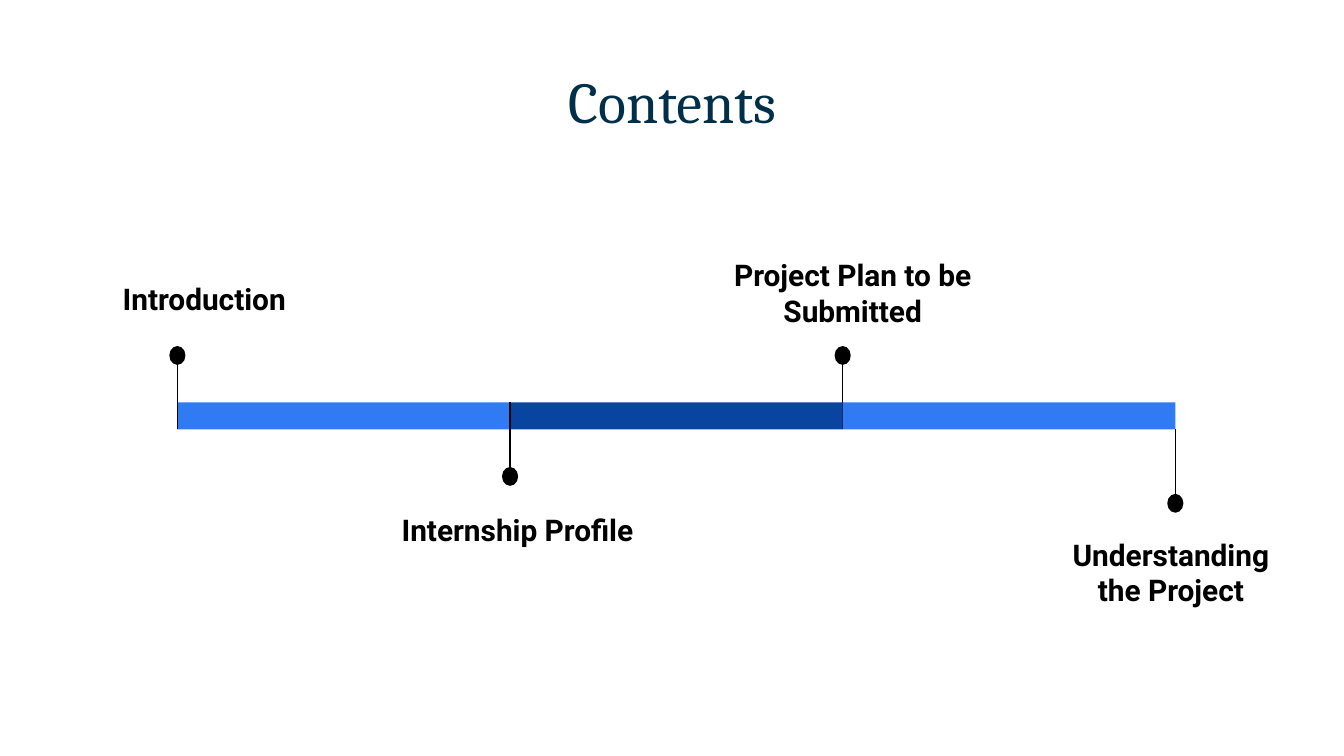
from dataclasses import dataclass
from typing import Optional

import pptx
import pptx.dml.color
import pptx.enum.shapes
import pptx.enum.text
import pptx.oxml
import pptx.util

EMU_PER_PX = 4572  # 200 px to the inch
BAR_LEFT, BAR_TOP, BAR_HEIGHT = 264, 599, 40
BAR_BOTTOM = BAR_TOP + BAR_HEIGHT
SEGMENT_WIDTH = 495
STEM_LENGTH = 110
DOT_WIDTH, DOT_HEIGHT = 24, 28
TEXT_MARGIN = 20
LEFT = pptx.enum.text.PP_ALIGN.LEFT
CENTER = pptx.enum.text.PP_ALIGN.CENTER


@dataclass(frozen=True)
class Theme:
    title_font: str = "Cambria"
    label_font: str = "Roboto"
    title_size: int = 31
    label_size: int = 16
    stem_width: float = 0.75
    title_color: str = "002F4A"
    ink: str = "000000"
    light_blue: str = "307BF3"
    dark_blue: str = "0944A1"


THEME = Theme()
TITLE_FORMAT = {"name": THEME.title_font, "size": pptx.util.Pt(THEME.title_size), "bold": False}
LABEL_FORMAT = {"name": THEME.label_font, "size": pptx.util.Pt(THEME.label_size), "bold": True}


@dataclass(frozen=True)
class Box:
    left: int
    top: int
    width: int
    height: int

    def emu(self) -> list[int]:
        return [px(value) for value in (self.left, self.top, self.width, self.height)]


@dataclass(frozen=True)
class Milestone:
    """A stem runs from the bar (stem_start) to a dot (stem_end)."""
    lines: tuple[str, ...]
    label: Box
    alignment: pptx.enum.text.PP_ALIGN
    stem_start: int
    stem_end: int
    segment_color: Optional[str] = None


MILESTONES = (
    Milestone(("Introduction",), Box(163, 398, 568, 288), LEFT,
              BAR_BOTTOM, BAR_BOTTOM - STEM_LENGTH, THEME.light_blue),
    Milestone(("Internship Profile",), Box(578, 741, 568, 288), LEFT,
              BAR_TOP, BAR_TOP + STEM_LENGTH, THEME.dark_blue),
    Milestone(("Project Plan to be Submitted",), Box(985, 362, 568, 288), CENTER,
              BAR_BOTTOM, BAR_BOTTOM - STEM_LENGTH, THEME.light_blue),
    Milestone(("Understanding ", "the Project "), Box(1420, 778, 656, 146), CENTER,
              BAR_BOTTOM, BAR_BOTTOM + STEM_LENGTH),
)


def px(value: int) -> int:
    return value * EMU_PER_PX


def rgb(color: str) -> pptx.dml.color.RGBColor:
    return pptx.dml.color.RGBColor.from_string(color)


def add_filled_shape(slide, kind, box: Box, color: str) -> None:
    shape = slide.shapes.add_shape(kind, *box.emu())
    shape.shadow.inherit = False
    shape.fill.solid()
    shape.fill.fore_color.rgb = rgb(color)
    shape.line.fill.background()


def add_stem(slide, x: int, start: int, end: int) -> None:
    stem = slide.shapes.add_connector(
        pptx.enum.shapes.MSO_CONNECTOR.STRAIGHT, px(x), px(start), px(x), px(end))
    stem.line.color.rgb = rgb(THEME.ink)
    stem.line.width = pptx.util.Pt(THEME.stem_width)
    stem._element.spPr.append(pptx.oxml.parse_xml(
        '<a:effectLst xmlns:a="http://schemas.openxmlformats.org/drawingml/2006/main"/>'))


def add_text(slide, lines: tuple[str, ...], box: Box, alignment, font_format: dict, color: str) -> None:
    frame = slide.shapes.add_textbox(*box.emu()).text_frame
    frame_format = {"word_wrap": True, "vertical_anchor": pptx.enum.text.MSO_ANCHOR.TOP}
    frame_format |= {f"margin_{side}": px(TEXT_MARGIN) for side in ("left", "top", "right", "bottom")}
    for name, value in frame_format.items():
        setattr(frame, name, value)
    for index, line in enumerate(lines):
        paragraph = frame.add_paragraph() if index else frame.paragraphs[0]
        paragraph.alignment = alignment
        run = paragraph.add_run()
        run.text = line
        for name, value in font_format.items():
            setattr(run.font, name, value)
        run.font.color.rgb = rgb(color)


def add_milestone(slide, milestone: Milestone, x: int) -> None:
    shapes = pptx.enum.shapes.MSO_SHAPE
    if milestone.segment_color:
        segment = Box(x, BAR_TOP, SEGMENT_WIDTH, BAR_HEIGHT)
        add_filled_shape(slide, shapes.RECTANGLE, segment, milestone.segment_color)
    add_stem(slide, x, milestone.stem_start, milestone.stem_end)
    dot = Box(x - DOT_WIDTH // 2, milestone.stem_end - DOT_HEIGHT // 2, DOT_WIDTH, DOT_HEIGHT)
    add_filled_shape(slide, shapes.OVAL, dot, THEME.ink)
    add_text(slide, milestone.lines, milestone.label, milestone.alignment, LABEL_FORMAT, THEME.ink)


def main() -> None:
    presentation = pptx.Presentation()
    presentation.slide_width, presentation.slide_height = px(2000), px(1125)
    slide = presentation.slides.add_slide(presentation.slide_layouts[6])
    add_text(slide, ("Contents",), Box(697, 78, 606, 168), CENTER, TITLE_FORMAT, THEME.title_color)
    for index in (2, 0, 1, 3):  # back to front
        add_milestone(slide, MILESTONES[index], BAR_LEFT + index * SEGMENT_WIDTH)
    presentation.save("out.pptx")


if __name__ == "__main__":
    main()
